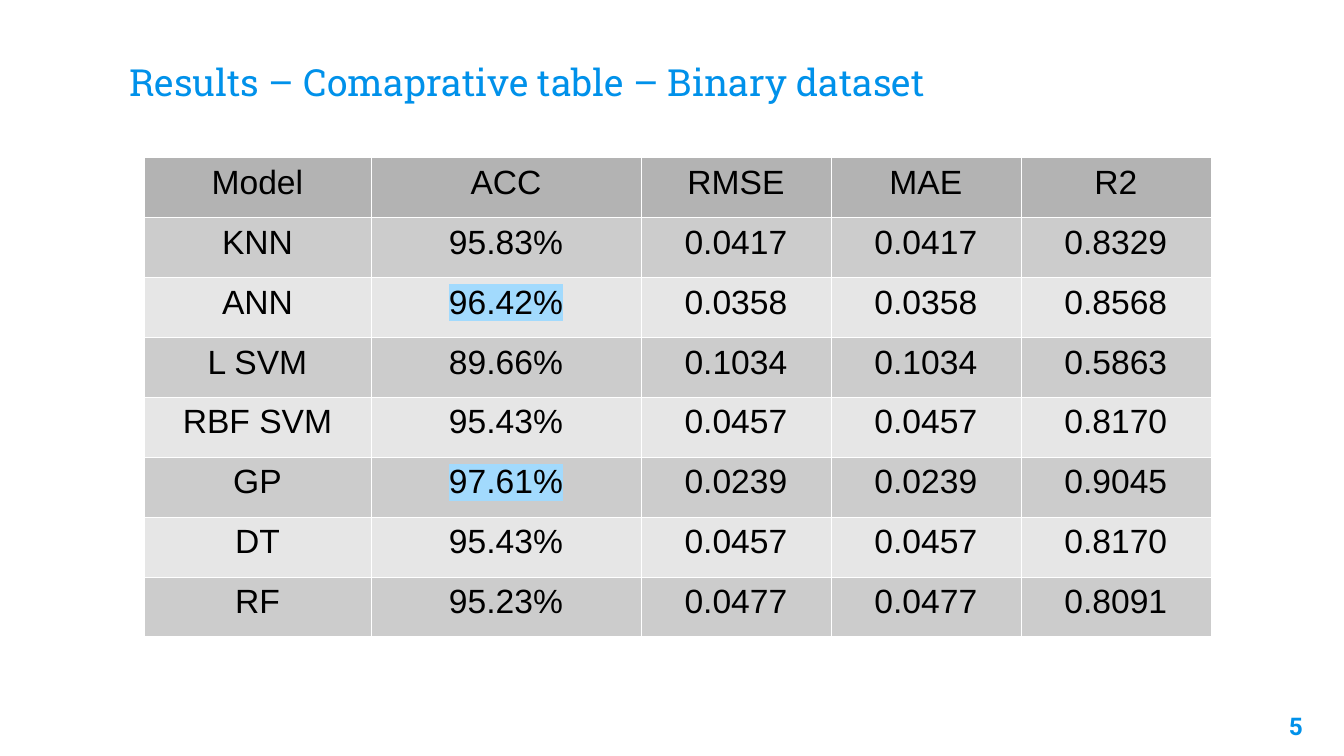
"""Build the slide comparing model results on the binary dataset."""
from pptx import Presentation
from pptx.dml.color import RGBColor
from pptx.enum.text import MSO_ANCHOR, MSO_AUTO_SIZE, PP_ALIGN
from pptx.oxml import parse_xml
from pptx.oxml.ns import nsdecls
from pptx.util import Inches, Pt

TITLE = "Results – Comaprative table – Binary dataset"
PAGE = "5"
ROWS = [
    ("Model", "ACC", "RMSE", "MAE", "R2"),
    ("KNN", "95.83%", "0.0417", "0.0417", "0.8329"),
    ("ANN", "96.42%", "0.0358", "0.0358", "0.8568"),
    ("L SVM", "89.66%", "0.1034", "0.1034", "0.5863"),
    ("RBF SVM", "95.43%", "0.0457", "0.0457", "0.8170"),
    ("GP", "97.61%", "0.0239", "0.0239", "0.9045"),
    ("DT", "95.43%", "0.0457", "0.0457", "0.8170"),
    ("RF", "95.23%", "0.0477", "0.0477", "0.8091"),
]
BEST = {"96.42%", "97.61%"}

COLORS = {
    "accent": "0091EA", "text": "000000", "highlight": "A2DAFD", "border": "FFFFFF",
    "header": "B3B3B3", "odd": "CCCCCC", "even": "E6E6E6",
}
FORMATS = {
    "title": {"name": "Roboto Slab", "size": Pt(20), "bold": False},
    "page": {"name": "Roboto", "size": Pt(13), "bold": True},
    "cell": {"name": "Arial", "size": Pt(18), "bold": False},
}
COLUMNS = [227, 270, 190, 190, 190]
ROW_HEIGHT = 60
BORDER_WIDTH = 720
SCALE = Inches(10) / 1344


def px(n):
    return round(n * SCALE)


def write(p, text, style, color):
    r = p.add_run()
    r.text = text
    for key, value in FORMATS[style].items():
        setattr(r.font, key, value)
    r.font.color.rgb = RGBColor.from_string(COLORS[color])
    return r


def fill_frame(s, box, text, style, anchor, align):
    s.left, s.top, s.width, s.height = map(px, box)
    tf = s.text_frame
    frame = {"word_wrap": True, "auto_size": MSO_AUTO_SIZE.NONE, "vertical_anchor": anchor}
    frame.update({f"margin_{side}": Inches(0.1) for side in ("left", "top", "right", "bottom")})
    for key, value in frame.items():
        setattr(tf, key, value)
    p = tf.paragraphs[0]
    p.alignment = align
    write(p, text, style, "accent")


def add_borders(cell):
    tcPr = cell._tc.get_or_add_tcPr()
    for side in "LRTB":
        tcPr.append(parse_xml(
            f'<a:ln{side} {nsdecls("a")} w="{BORDER_WIDTH}"><a:solidFill>'
            f'<a:srgbClr val="{COLORS["border"]}"/></a:solidFill></a:ln{side}>'))


def highlight(r):
    r.font.fill._xPr.solidFill.addnext(parse_xml(
        f'<a:highlight {nsdecls("a")}><a:srgbClr val="{COLORS["highlight"]}"/></a:highlight>'))


def add_results(slide, left, top):
    table = slide.shapes.add_table(
        len(ROWS), len(COLUMNS), px(left), px(top),
        px(sum(COLUMNS)), px(ROW_HEIGHT * len(ROWS))).table
    for column, width in zip(table.columns, COLUMNS):
        column.width = px(width)
    for i, values in enumerate(ROWS):
        table.rows[i].height = px(ROW_HEIGHT)
        band = "header" if i == 0 else "odd" if i % 2 else "even"
        for j, value in enumerate(values):
            cell = table.cell(i, j)
            add_borders(cell)
            cell.fill.solid()
            cell.fill.fore_color.rgb = RGBColor.from_string(COLORS[band])
            p = cell.text_frame.paragraphs[0]
            p.alignment = PP_ALIGN.CENTER
            r = write(p, value, "cell", "text")
            if value in BEST:
                highlight(r)


def main():
    prs = Presentation()
    prs.slide_width, prs.slide_height = px(1344), px(756)
    slide = prs.slides.add_slide(prs.slide_layouts[5])
    fill_frame(slide.shapes.title, (116, 13, 1113, 104), TITLE, "title",
               MSO_ANCHOR.BOTTOM, PP_ALIGN.LEFT)
    page = slide.shapes.add_textbox(0, 0, 0, 0)
    fill_frame(page, (1235, 698, 81, 58), PAGE, "page", MSO_ANCHOR.TOP, PP_ALIGN.RIGHT)
    add_results(slide, 144, 157)
    prs.save("out.pptx")


if __name__ == "__main__":
    main()
